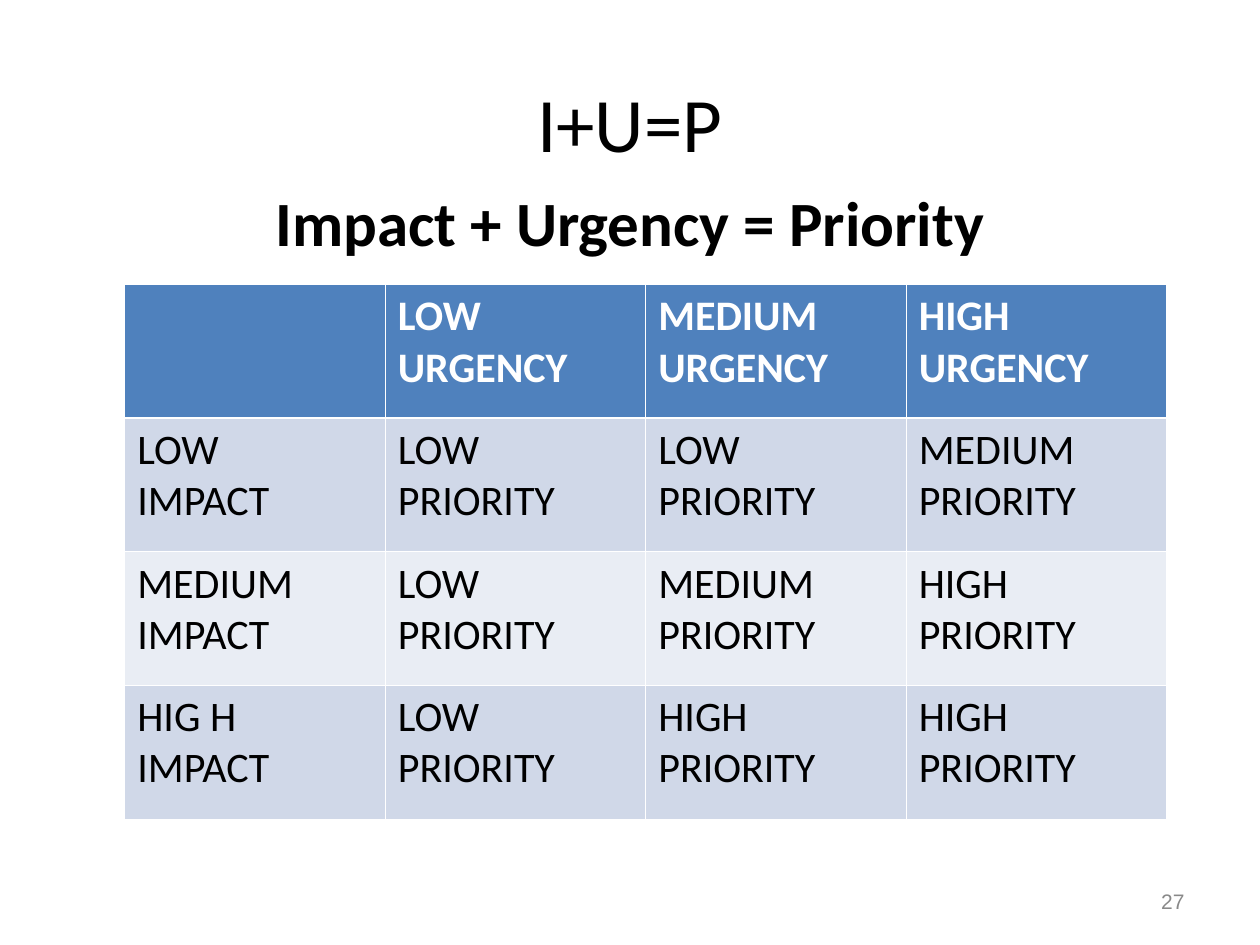
"""Builds the impact, urgency and priority matrix slide."""
from lxml import etree
from pptx import Presentation, util as u
from pptx.dml.color import RGBColor
from pptx.enum import text
from pptx.oxml.ns import qn


def paint(color, hex_value):
    color.rgb = RGBColor.from_string(hex_value)


def write(frame, lines, color, align, **font_format):
    frame.word_wrap = True
    for number, line in enumerate(lines):
        paragraph = frame.paragraphs[0] if number == 0 else frame.add_paragraph()
        paragraph.alignment = align
        run = paragraph.add_run()
        run.text = line
        for key, value in font_format.items():
            setattr(run.font, key, value)
        paint(run.font.color, color)


deck = Presentation()
deck.slide_width, deck.slide_height = u.Inches(10), u.Inches(7.5)
slide = deck.slides.add_slide(deck.slide_layouts[6])
align, anchor = text.PP_ALIGN, text.MSO_ANCHOR

headings = [
    ("I+U=P", (0.5, 0.3, 9, 1.25), (0, 0.08), anchor.MIDDLE, align.CENTER, "000000",
     dict(name="Calibri", size=u.Pt(44))),
    ("Impact + Urgency = Priority", (0.5, 1.39, 9, 5.31), (0, 0.07), anchor.TOP, align.CENTER, "000000",
     dict(name="Calibri", size=u.Pt(36), bold=True)),
    ("27", (7.17, 6.95, 2.33, 0.4), (0.1, 0.05), anchor.MIDDLE, align.RIGHT, "898989",
     dict(name="Arial", size=u.Pt(12))),
]
for wording, place, (side, top), vertical, horizontal, color, font_format in headings:
    frame = slide.shapes.add_textbox(*map(u.Inches, place)).text_frame
    margins = dict(margin_left=side, margin_right=side, margin_top=top,
                   margin_bottom=0.05 if side else 0)
    for key, value in margins.items():
        setattr(frame, key, u.Inches(value))
    frame.vertical_anchor = vertical
    write(frame, [wording], color, horizontal, **font_format)

levels = ["LOW", "MEDIUM", "HIGH"]
priorities = [
    ["LOW", "LOW", "MEDIUM"],
    ["LOW", "MEDIUM", "HIGH"],
    ["LOW", "HIGH", "HIGH"],
]
matrix = [[[]] + [[level, "URGENCY"] for level in levels]]
for impact, ratings in zip(["LOW", "MEDIUM", "HIG H"], priorities):
    matrix.append([[impact, "IMPACT"]] + [[rating, "PRIORITY"] for rating in ratings])

row_fills = ["4F81BD", "D0D8E8", "E9EDF4", "D0D8E8"]
grid = slide.shapes.add_table(4, 4, *map(u.Inches, (0.99, 2.26, 8.27, 4.24))).table
for row, entries in enumerate(matrix):
    for column, lines in enumerate(entries):
        cell = grid.cell(row, column)
        header = row == 0
        write(cell.text_frame, lines, "FFFFFF" if header else "000000", align.LEFT,
              name="Calibri", size=u.Pt(24), bold=header)
        properties = cell._tc.get_or_add_tcPr()
        thick_side = {0: "lnB", 1: "lnT"}.get(row)
        for side in ("lnL", "lnR", "lnT", "lnB"):
            width = u.Pt(1.47 if side == thick_side else 0.45)
            border = etree.SubElement(properties, qn(f"a:{side}"), w=str(width))
            solid = etree.SubElement(border, qn("a:solidFill"))
            etree.SubElement(solid, qn("a:srgbClr"), val="FFFFFF")
        cell.fill.solid()
        paint(cell.fill.fore_color, row_fills[row])

deck.save("out.pptx")
